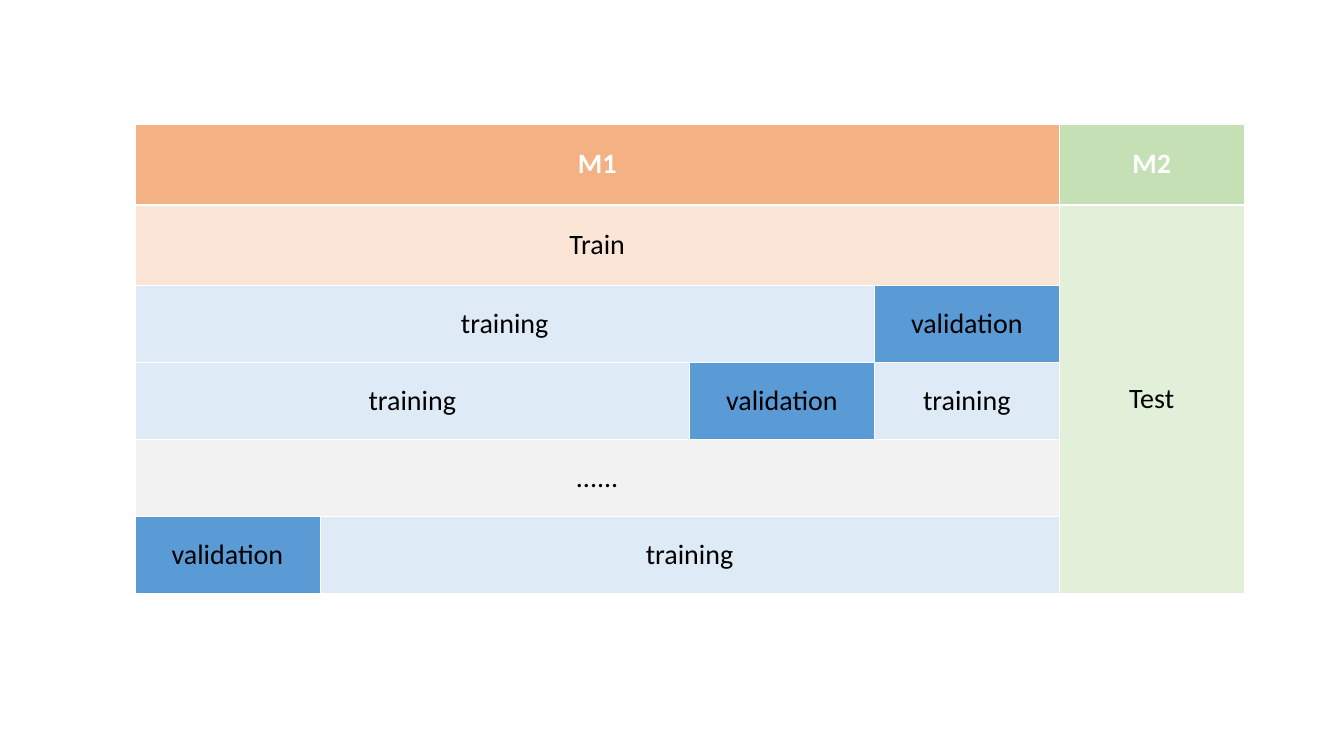
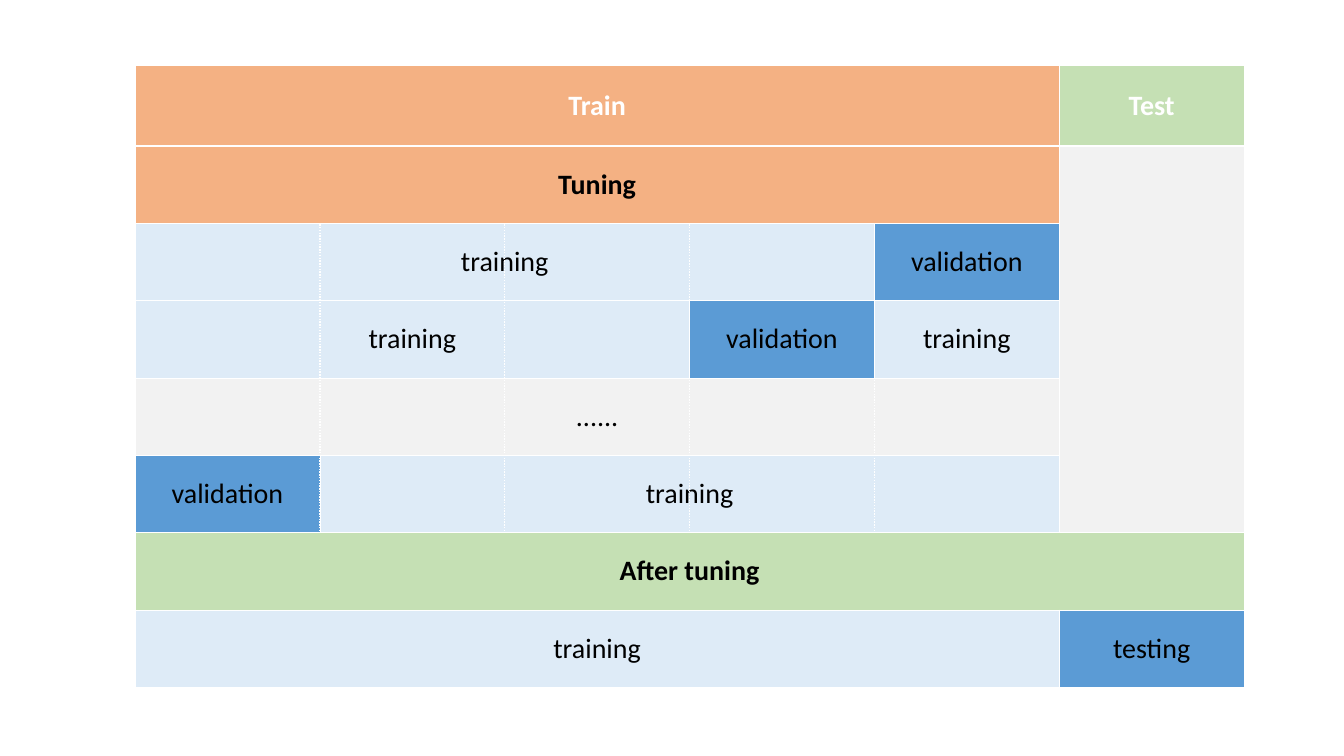
"""Build two slides of tables that explain cross-validation and tuning."""

import dataclasses

import lxml.etree
import pptx
import pptx.dml.color
import pptx.enum.dml
import pptx.enum.shapes
import pptx.enum.text
import pptx.oxml.ns
import pptx.presentation
import pptx.slide
import pptx.table
import pptx.util

Inches = pptx.util.Inches
RGBColor = pptx.dml.color.RGBColor

WHITE = RGBColor(0xFF, 0xFF, 0xFF)
BLACK = RGBColor(0x00, 0x00, 0x00)
ORANGE = RGBColor(0xF4, 0xB1, 0x83)
PALE_ORANGE = RGBColor(0xFB, 0xE5, 0xD6)
GREEN = RGBColor(0xC5, 0xE0, 0xB4)
PALE_GREEN = RGBColor(0xE2, 0xF0, 0xD9)
BLUE = RGBColor(0x5B, 0x9B, 0xD5)
PALE_BLUE = RGBColor(0xDE, 0xEB, 0xF7)
GREY = RGBColor(0xF2, 0xF2, 0xF2)

FONT_NAME = "Calibri"
FONT_SIZE = pptx.util.Pt(20)
THIN_BORDER = pptx.util.Pt(0.45)
THICK_BORDER = pptx.util.Pt(1.47)

TABLE_LEFT = Inches(1.34)
TABLE_WIDTH = Inches(11.01)
TALL_ROW = Inches(0.8)
COLUMN_UNITS = (1, 2, 1, 1, 1)
UNIT_WIDTH = TABLE_WIDTH // sum(COLUMN_UNITS)


@dataclasses.dataclass(frozen=True)
class Block:
    """A table cell with the columns and rows it covers."""

    text: str
    fill: RGBColor
    columns: int = 1
    rows: int = 1
    bold: bool = False
    color: RGBColor = BLACK


@dataclasses.dataclass(frozen=True)
class Grid:
    """A table with its top, its height and the number of tall rows at its head."""

    top: pptx.util.Length
    height: pptx.util.Length
    tall_rows: int
    rows: list[list[Block]]


def header(text: str, fill: RGBColor, columns: int = 1) -> Block:
    """Return a block of the heading row."""
    return Block(text, fill, columns, bold=True, color=WHITE)


def training(columns: int = 1) -> Block:
    """Return a training block."""
    return Block("training", PALE_BLUE, columns)


VALIDATION = Block("validation", BLUE)
FOLD_ROWS = [
    [training(3), VALIDATION],
    [training(2), VALIDATION, training()],
    [Block("......", GREY, 4)],
    [VALIDATION, training(3)],
]
SPLIT_GRID = Grid(
    Inches(1.23),
    Inches(4.66),
    2,
    [
        [header("M1", ORANGE, 4), header("M2", GREEN)],
        [Block("Train", PALE_ORANGE, 4), Block("Test", PALE_GREEN, rows=5)],
        *FOLD_ROWS,
    ],
)
TUNING_GRID = Grid(
    Inches(0.65),
    Inches(6.17),
    1,
    [
        [header("Train", ORANGE, 4), header("Test", GREEN)],
        [Block("Tuning", ORANGE, 4, bold=True), Block("", GREY, rows=5)],
        *FOLD_ROWS,
        [Block("After tuning", GREEN, 5, bold=True)],
        [training(4), Block("testing", BLUE)],
    ],
)


def set_borders(cell: pptx.table._Cell, row: int) -> None:
    """Give a cell white borders, thick below the heading row."""
    properties = cell._tc.get_or_add_tcPr()
    thick_side = {0: "lnB", 1: "lnT"}.get(row)
    for position, side in enumerate(("lnL", "lnR", "lnT", "lnB")):
        width = THICK_BORDER if side == thick_side else THIN_BORDER
        line = lxml.etree.Element(pptx.oxml.ns.qn(f"a:{side}"), w=str(int(width)))
        solid = lxml.etree.SubElement(line, pptx.oxml.ns.qn("a:solidFill"))
        lxml.etree.SubElement(solid, pptx.oxml.ns.qn("a:srgbClr"), val=str(WHITE))
        properties.insert(position, line)


def fill_block(table: pptx.table.Table, block: Block, row: int, column: int) -> None:
    """Merge, colour and label the cells of a block."""
    for covered_row in range(row, row + block.rows):
        for covered_column in range(column, column + block.columns):
            covered = table.cell(covered_row, covered_column)
            covered.fill.solid()
            covered.fill.fore_color.rgb = block.fill
            set_borders(covered, covered_row)
    cell = table.cell(row, column)
    if block.rows * block.columns > 1:
        cell.merge(table.cell(row + block.rows - 1, column + block.columns - 1))
    cell.vertical_anchor = pptx.enum.text.MSO_ANCHOR.MIDDLE
    paragraph = cell.text_frame.paragraphs[0]
    paragraph.alignment = pptx.enum.text.PP_ALIGN.CENTER
    if block.text:
        run = paragraph.add_run()
        run.text = block.text
        run.font.name = FONT_NAME
        run.font.size = FONT_SIZE
        run.font.bold = block.bold
        run.font.color.rgb = block.color


def draw_grid(slide: pptx.slide.Slide, grid: Grid) -> None:
    """Draw a grid as a table."""
    row_count = len(grid.rows)
    table = slide.shapes.add_table(
        row_count, len(COLUMN_UNITS), TABLE_LEFT, grid.top, TABLE_WIDTH, grid.height
    ).table
    for table_column, units in zip(table.columns, COLUMN_UNITS):
        table_column.width = units * UNIT_WIDTH
    body_row = (grid.height - grid.tall_rows * TALL_ROW) // (row_count - grid.tall_rows)
    for row, blocks in enumerate(grid.rows):
        table.rows[row].height = TALL_ROW if row < grid.tall_rows else body_row
        column = 0
        for block in blocks:
            fill_block(table, block, row, column)
            column += block.columns


def draw_fold_lines(slide: pptx.slide.Slide) -> None:
    """Draw the dotted lines between the five folds."""
    for fold in range(1, 5):
        left = TABLE_LEFT + fold * UNIT_WIDTH
        connector = slide.shapes.add_connector(
            pptx.enum.shapes.MSO_CONNECTOR.STRAIGHT,
            left,
            Inches(5.27),
            left,
            Inches(2.22),
        )
        connector.line.color.rgb = WHITE
        connector.line.width = pptx.util.Pt(1)
        connector.line.dash_style = pptx.enum.dml.MSO_LINE.ROUND_DOT
        lxml.etree.SubElement(
            connector._element.spPr, pptx.oxml.ns.qn("a:effectLst")
        )


def add_blank_slide(presentation: pptx.presentation.Presentation) -> pptx.slide.Slide:
    """Add a slide without placeholders."""
    return presentation.slides.add_slide(presentation.slide_layouts[6])


def main() -> None:
    """Build and save the presentation."""
    presentation = pptx.Presentation()
    presentation.slide_width = Inches(13.34)
    presentation.slide_height = Inches(7.5)
    draw_grid(add_blank_slide(presentation), SPLIT_GRID)
    tuning_slide = add_blank_slide(presentation)
    draw_grid(tuning_slide, TUNING_GRID)
    draw_fold_lines(tuning_slide)
    presentation.save("out.pptx")


if __name__ == "__main__":
    main()
